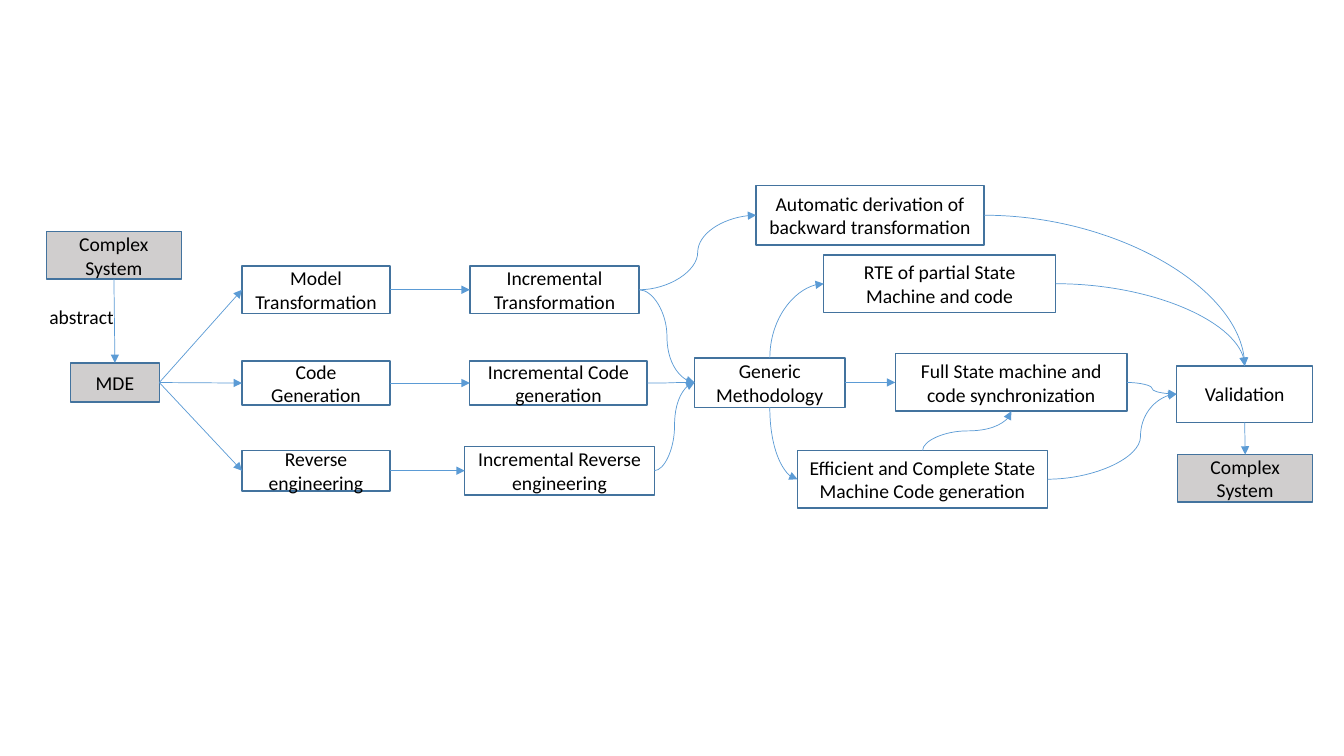
from lxml import etree
from pptx import Presentation
from pptx.dml.color import RGBColor
from pptx.enum import shapes, text
from pptx.oxml import ns
from pptx.util import Inches, Pt

COLORS = {"text": "000000", "border": "43739E", "arrow": "5B9BD5", "gray": "D0CECE"}
TOP, LEFT, BOTTOM, RIGHT = range(4)

BOXES = {
    "model": ("Model Transformation", 2.4, 2.64, 1.47, 0.47),
    "code": ("Code Generation", 2.4, 3.58, 1.47, 0.44),
    "reverse": ("Reverse engineering", 2.4, 4.47, 1.47, 0.4),
    "inc_model": ("Incremental Transformation", 4.66, 2.64, 1.68, 0.47),
    "inc_code": ("Incremental Code generation", 4.66, 3.58, 1.76, 0.44),
    "inc_reverse": ("Incremental Reverse engineering", 4.61, 4.43, 1.88, 0.48),
    "generic": ("Generic Methodology", 6.89, 3.55, 1.49, 0.49),
    "backward": ("Automatic derivation of backward transformation", 7.5, 1.84, 2.26, 0.59),
    "partial": ("RTE of partial State Machine and code", 8.17, 2.53, 2.3, 0.57),
    "full": ("Full State machine and code synchronization", 8.88, 3.51, 2.3, 0.57),
    "efficient": ("Efficient and Complete State Machine Code generation", 7.91, 4.47, 2.48, 0.57),
    "validation": ("Validation", 11.67, 3.63, 1.35, 0.56),
}
GRAY_BOXES = {
    "source": ("Complex System", 0.46, 2.3, 1.34, 0.47),
    "mde": ("MDE", 0.7, 3.6, 0.88, 0.39),
    "result": ("Complex System", 11.68, 4.51, 1.34, 0.47),
}
STRAIGHT = [
    ("source", BOTTOM, "mde", TOP),
    ("mde", RIGHT, "model", LEFT),
    ("mde", RIGHT, "code", LEFT),
    ("mde", RIGHT, "reverse", LEFT),
    ("model", RIGHT, "inc_model", LEFT),
    ("code", RIGHT, "inc_code", LEFT),
    ("reverse", RIGHT, "inc_reverse", LEFT),
    ("validation", BOTTOM, "result", TOP),
]
CURVED = [
    ("inc_model", RIGHT, "generic", LEFT),
    ("inc_code", RIGHT, "generic", LEFT),
    ("inc_reverse", RIGHT, "generic", LEFT),
    ("inc_model", RIGHT, "backward", LEFT),
    ("generic", TOP, "partial", LEFT),
    ("generic", RIGHT, "full", LEFT),
    ("generic", BOTTOM, "efficient", LEFT),
    ("efficient", TOP, "full", BOTTOM),
    ("backward", RIGHT, "validation", TOP),
    ("partial", RIGHT, "validation", TOP),
    ("full", RIGHT, "validation", LEFT),
    ("efficient", RIGHT, "validation", LEFT, 72000),
]


class Diagram:
    def __init__(self, slide):
        self.slide = slide
        self.boxes = {}

    def color(self, name):
        return RGBColor.from_string(COLORS[name])

    def put_text(self, frame, wording):
        paragraph = frame.paragraphs[0]
        paragraph.text = wording
        paragraph.font.name = "Calibri"
        paragraph.font.size = Pt(14)
        paragraph.font.color.rgb = self.color("text")
        return paragraph

    def box(self, name, wording, left, top, width, height, fill=None):
        shape = self.slide.shapes.add_shape(
            shapes.MSO_SHAPE.RECTANGLE, Inches(left), Inches(top), Inches(width), Inches(height))
        shape.shadow.inherit = False
        if fill:
            shape.fill.solid()
            shape.fill.fore_color.rgb = self.color(fill)
        else:
            shape.fill.background()
        shape.line.color.rgb = self.color("border")
        shape.line.width = Pt(1)
        shape.text_frame.word_wrap = True
        shape.text_frame.vertical_anchor = text.MSO_ANCHOR.MIDDLE
        self.put_text(shape.text_frame, wording).alignment = text.PP_ALIGN.CENTER
        self.boxes[name] = shape

    def label(self, wording, left, top, width, height):
        shape = self.slide.shapes.add_textbox(
            Inches(left), Inches(top), Inches(width), Inches(height))
        shape.text_frame.word_wrap = False
        shape.text_frame.auto_size = text.MSO_AUTO_SIZE.SHAPE_TO_FIT_TEXT
        self.put_text(shape.text_frame, wording)

    def arrow(self, start, start_side, end, end_side, kind=shapes.MSO_CONNECTOR.STRAIGHT):
        connector = self.slide.shapes.add_connector(kind, 0, 0, 0, 0)
        connector.begin_connect(self.boxes[start], start_side)
        connector.end_connect(self.boxes[end], end_side)
        connector.line.color.rgb = self.color("arrow")
        connector.line.width = Pt(0.5)
        properties = connector._element.spPr
        line = properties.find(ns.qn("a:ln"))
        etree.SubElement(line, ns.qn("a:tailEnd"), type="triangle")
        etree.SubElement(properties, ns.qn("a:effectLst"))
        return connector

    def curve(self, start, start_side, end, end_side, bend=None):
        connector = self.arrow(start, start_side, end, end_side, shapes.MSO_CONNECTOR.CURVE)
        properties = connector._element.spPr
        geometry = properties.find(ns.qn("a:prstGeom"))
        if start_side % 2 != end_side % 2:
            geometry.set("prst", "curvedConnector2")
        if bend:
            guides = geometry.find(ns.qn("a:avLst"))
            etree.SubElement(guides, ns.qn("a:gd"), name="adj1", fmla=f"val {bend}")
        if start_side in (TOP, BOTTOM):
            self.turn(connector, properties.find(ns.qn("a:xfrm")), start_side == TOP)

    def turn(self, connector, transform, upward):
        left, top = connector.left, connector.top
        width, height = connector.width, connector.height
        connector.left = left + (width - height) // 2
        connector.top = top + (height - width) // 2
        connector.width, connector.height = height, width
        transform.set("rot", str((90 if upward else 270) * 60000))
        transform.set("flipH", "1")
        transform.set("flipV", "1" if upward else "0")


def main():
    presentation = Presentation()
    presentation.slide_width = Inches(13.33)
    presentation.slide_height = Inches(7.5)
    diagram = Diagram(presentation.slides.add_slide(presentation.slide_layouts[6]))
    for name, box in BOXES.items():
        diagram.box(name, *box)
    for name, box in GRAY_BOXES.items():
        diagram.box(name, *box, fill="gray")
    diagram.label("abstract", 0.39, 2.98, 0.85, 0.34)
    for ends in STRAIGHT:
        diagram.arrow(*ends)
    for ends in CURVED:
        diagram.curve(*ends)
    presentation.save("out.pptx")


if __name__ == "__main__":
    main()
